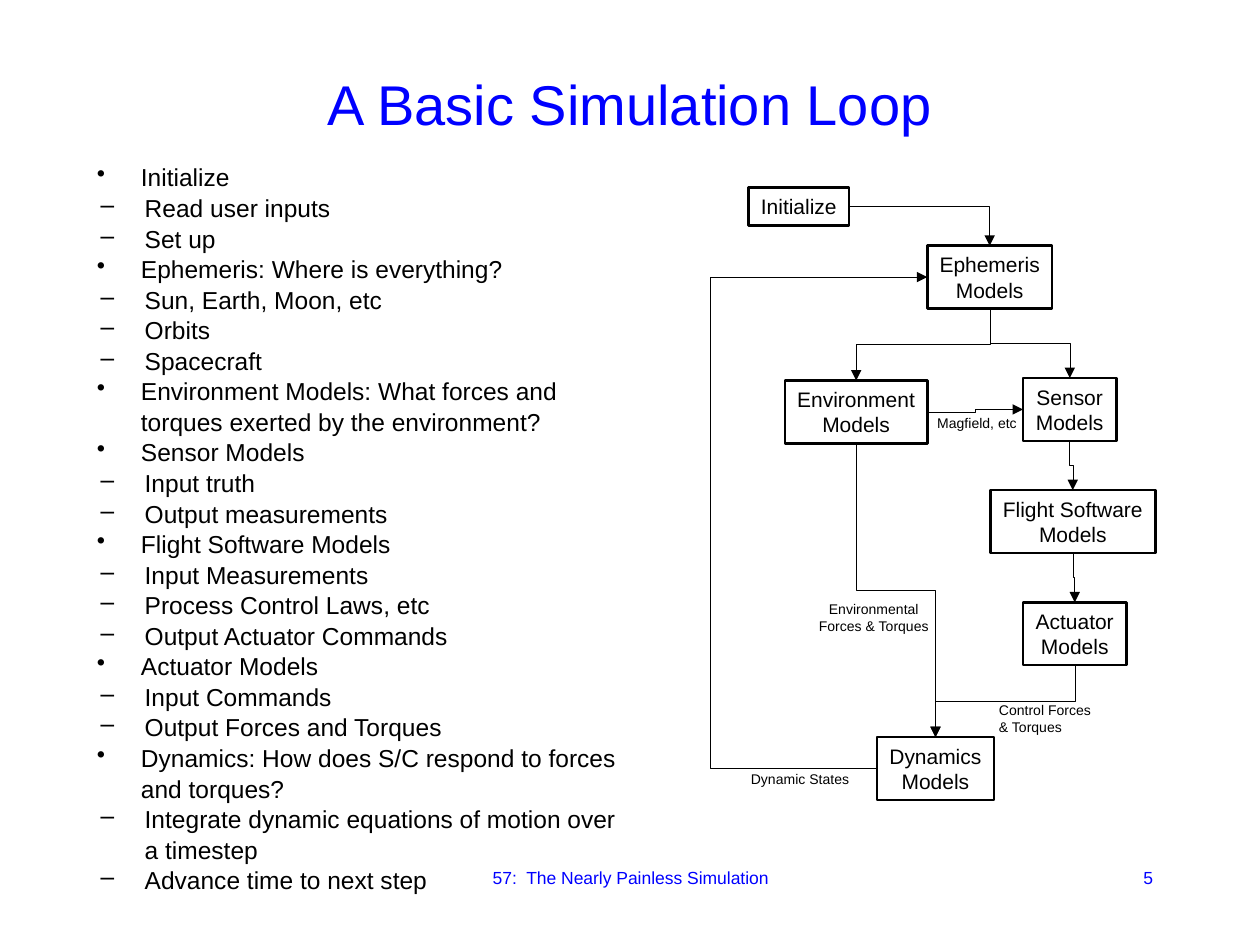
from pptx import Presentation
from pptx.dml.color import RGBColor
from pptx.enum.shapes import MSO_CONNECTOR, MSO_SHAPE
from pptx.enum.text import MSO_ANCHOR, MSO_AUTO_SIZE, PP_ALIGN
from pptx.oxml.ns import qn
from pptx.oxml.xmlchemy import OxmlElement
from pptx.util import Inches, Pt

BLACK = RGBColor(0x00, 0x00, 0x00)
WHITE = RGBColor(0xFF, 0xFF, 0xFF)
BLUE = RGBColor(0x00, 0x00, 0xFF)

TOP, LEFT, BOTTOM, RIGHT = range(4)

BULLETS = {0: ("•", 0.47, -0.35), 1: ("–", 0.5, -0.35)}

OUTLINE = [
    ("Initialize", ["Read user inputs", "Set up"]),
    ("Ephemeris: Where is everything?", ["Sun, Earth, Moon, etc", "Orbits", "Spacecraft"]),
    ("Environment Models: What forces and torques exerted by the environment?", []),
    ("Sensor Models", ["Input truth", "Output measurements"]),
    ("Flight Software Models",
     ["Input Measurements", "Process Control Laws, etc", "Output Actuator Commands"]),
    ("Actuator Models", ["Input Commands", "Output Forces and Torques"]),
    ("Dynamics: How does S/C respond to forces and torques?",
     ["Integrate dynamic equations of motion over a timestep", "Advance time to next step"]),
]

BOXES = {
    "Initialize": (5.94, 1.49, 0.8, 0.3),
    "Ephemeris\nModels": (7.36, 1.95, 0.99, 0.5),
    "Environment\nModels": (6.23, 3.02, 1.13, 0.5),
    "Sensor\nModels": (8.12, 3, 0.74, 0.5),
    "Flight Software\nModels": (7.86, 3.89, 1.31, 0.5),
    "Actuator\nModels": (8.12, 4.78, 0.82, 0.5),
    "Dynamics\nModels": (6.96, 5.85, 0.93, 0.5),
}

FLOWS = [
    ("Initialize", RIGHT, "Ephemeris\nModels", TOP, None),
    ("Ephemeris\nModels", BOTTOM, "Environment\nModels", TOP, 0.5),
    ("Ephemeris\nModels", BOTTOM, "Sensor\nModels", TOP, 0.5),
    ("Environment\nModels", RIGHT, "Sensor\nModels", LEFT, 0.5),
    ("Sensor\nModels", BOTTOM, "Flight Software\nModels", TOP, 0.5),
    ("Flight Software\nModels", BOTTOM, "Actuator\nModels", TOP, 0.5),
    ("Environment\nModels", BOTTOM, "Dynamics\nModels", TOP, 0.5),
    ("Actuator\nModels", BOTTOM, "Dynamics\nModels", TOP, 0.5),
    ("Dynamics\nModels", LEFT, "Ephemeris\nModels", LEFT, -3.3),
]

LABELS = [
    ("Magfield, etc", (7.34, 3.24, 0.83, 0.24), PP_ALIGN.CENTER),
    ("Environmental\nForces & Torques", (6.39, 4.72, 1.09, 0.37), PP_ALIGN.CENTER),
    ("Control Forces\n& Torques", (7.83, 5.52, 0.93, 0.37), PP_ALIGN.LEFT),
    ("Dynamic States", (5.86, 6.07, 0.98, 0.24), PP_ALIGN.CENTER),
]


def apply(target, values):
    """Set each named attribute on the target."""
    for name, value in values.items():
        setattr(target, name, value)


def write_text(shape, text, size, color=BLACK, align=PP_ALIGN.CENTER, **frame_format):
    """Fill a shape with one paragraph per line of text."""
    frame = shape.text_frame
    frame.text = text
    apply(frame, {"word_wrap": True, "vertical_anchor": MSO_ANCHOR.TOP, **frame_format})
    for paragraph in frame.paragraphs:
        paragraph.alignment = align
        for run in paragraph.runs:
            apply(run.font, {"name": "Arial", "size": Pt(size)})
            run.font.color.rgb = color


def add_text(slide, text, place, size, **text_format):
    """Add a text box at a place given in inches."""
    shape = slide.shapes.add_textbox(*map(Inches, place))
    write_text(shape, text, size, **text_format)
    return shape


def add_box(slide, text, place):
    """Add an outlined model box."""
    shape = slide.shapes.add_shape(MSO_SHAPE.RECTANGLE, *map(Inches, place))
    shape.shadow.inherit = False
    shape.fill.solid()
    shape.fill.fore_color.rgb = WHITE
    shape.line.color.rgb = BLACK
    shape.line.width = Pt(1.5)
    write_text(shape, text, 12, word_wrap=False, margin_left=Inches(0.05),
               margin_right=Inches(0.05))
    return shape


def turn_downward(connector):
    """Rotate an elbow so that it leaves its start going down."""
    start_x, start_y = connector.begin_x, connector.begin_y
    across, down = connector.end_x - start_x, connector.end_y - start_y
    apply(connector, {
        "left": start_x + (across - down) // 2,
        "top": start_y + (down - abs(across)) // 2,
        "width": down,
        "height": abs(across),
    })
    transform = connector.element.spPr.find(qn("a:xfrm"))
    transform.set("rot", str((270 if across > 0 else 90) * 60000))
    transform.set("flipH", "1" if across > 0 else "0")


def add_flow(slide, source, source_side, target, target_side, bend):
    """Join two boxes with an elbow arrow; no bend means a single corner."""
    connector = slide.shapes.add_connector(MSO_CONNECTOR.ELBOW, 0, 0, 0, 0)
    connector.begin_connect(source, source_side)
    connector.end_connect(target, target_side)
    if source_side == BOTTOM:
        turn_downward(connector)
    connector.line.color.rgb = BLACK
    connector.line.width = Pt(0.25)
    properties = connector.element.spPr
    geometry = properties.find(qn("a:prstGeom"))
    if bend is None:
        geometry.set("prst", "bentConnector2")
    else:
        guide = OxmlElement("a:gd")
        guide.set("name", "adj1")
        guide.set("fmla", f"val {round(bend * 100000)}")
        geometry.find(qn("a:avLst")).append(guide)
    arrowhead = OxmlElement("a:tailEnd")
    arrowhead.set("type", "triangle")
    properties.find(qn("a:ln")).append(arrowhead)
    properties.append(OxmlElement("a:effectLst"))


def add_bullet(paragraph, level):
    """Give a paragraph the bullet and hanging indent of its level."""
    paragraph.level = level
    paragraph.line_spacing = 1.04
    character, margin, indent = BULLETS[level]
    properties = paragraph._p.get_or_add_pPr()
    properties.set("marL", str(Inches(margin)))
    properties.set("indent", str(Inches(indent)))
    bullet = OxmlElement("a:buChar")
    bullet.set("char", character)
    properties.append(bullet)


def add_outline(slide):
    """Add the two-level list of simulation steps."""
    items = [item for heading, steps in OUTLINE
             for item in [(heading, 0), *((step, 1) for step in steps)]]
    shape = add_text(slide, "\n".join(text for text, _ in items), (0.55, 1.28, 4.55, 4.38), 14,
                     align=PP_ALIGN.LEFT, margin_top=0, margin_bottom=0)
    for paragraph, (_, level) in zip(shape.text_frame.paragraphs, items):
        add_bullet(paragraph, level)


def main():
    """Build the simulation loop slide."""
    presentation = Presentation()
    apply(presentation, {"slide_width": Inches(10), "slide_height": Inches(7.5)})
    slide = presentation.slides.add_slide(presentation.slide_layouts[6])
    add_text(slide, "A Basic Simulation Loop", (0.75, 0.19, 8.5, 1.25), 32, color=BLUE,
             vertical_anchor=MSO_ANCHOR.MIDDLE)
    add_outline(slide)
    boxes = {text: add_box(slide, text, place) for text, place in BOXES.items()}
    for source, source_side, target, target_side, bend in FLOWS:
        add_flow(slide, boxes[source], source_side, boxes[target], target_side, bend)
    for text, place, align in LABELS:
        add_text(slide, text, place, 8, align=align, word_wrap=False,
                 auto_size=MSO_AUTO_SIZE.SHAPE_TO_FIT_TEXT)
    add_text(slide, "57:  The Nearly Painless Simulation", (3.42, 6.83, 3.17, 0.5), 10, color=BLUE)
    add_text(slide, "5", (7.17, 6.83, 2.08, 0.5), 10, color=BLUE, align=PP_ALIGN.RIGHT)
    presentation.save("out.pptx")


if __name__ == "__main__":
    main()
